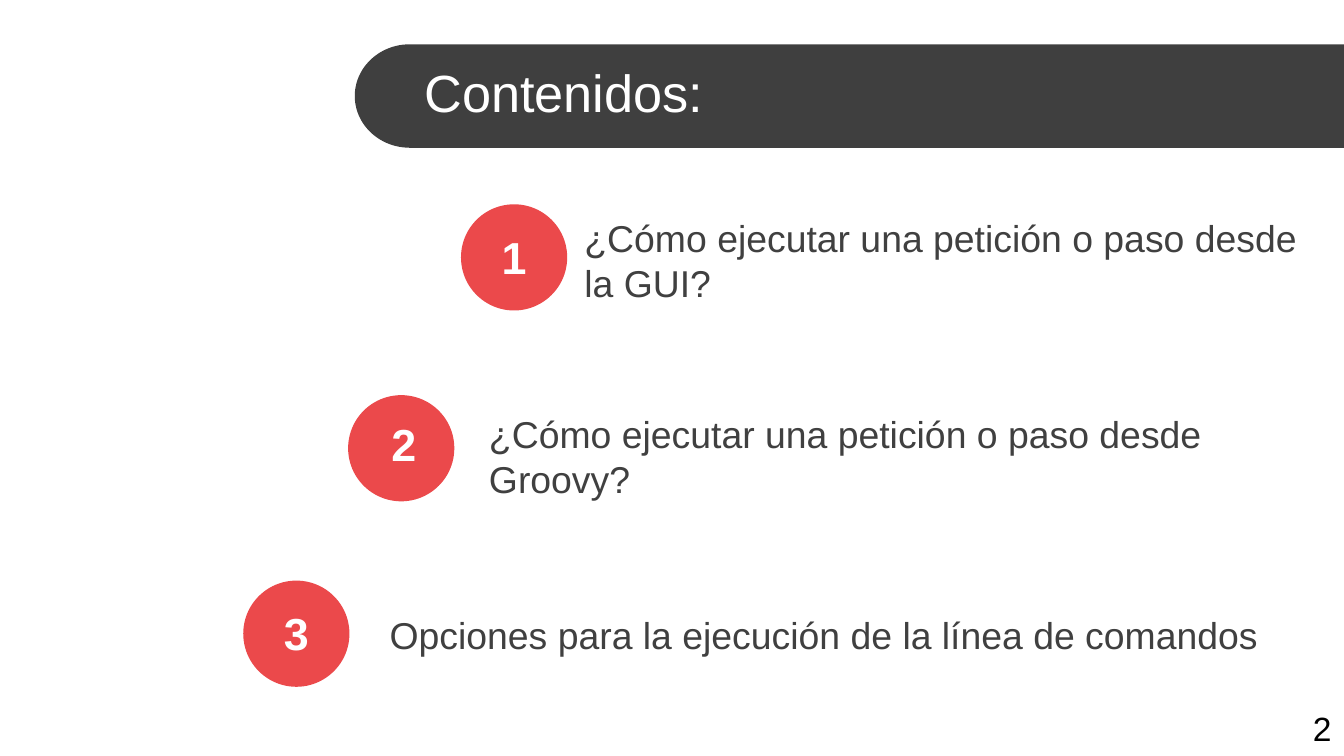
import math

from pptx import Presentation
from pptx.dml.color import RGBColor
from pptx.enum.shapes import MSO_SHAPE
from pptx.enum.text import MSO_ANCHOR, PP_ALIGN
from pptx.util import Inches, Pt

OVAL = MSO_SHAPE.OVAL
TOP, MIDDLE = MSO_ANCHOR.TOP, MSO_ANCHOR.MIDDLE
LEFT, CENTER = PP_ALIGN.LEFT, PP_ALIGN.CENTER

WIDTH = 10
HEIGHT = WIDTH * 9 / 16
CELL = 0.1  # inches per grid column and row
BLANK_LAYOUT = 6
COLORS = {
    "banner": "3F3F3F",
    "badge": "EB494B",
    "body": "404040",
    "light": "FFFFFF",
    "dark": "000000",
}
BADGE_SIZE = 7.9
NUMBER_HEIGHT = 5

# badge column and row, number column and row, text frame, text
TOPICS = [
    ((34.3, 15.2), (34.3, 16.6), (42.5, 15.5, 55.6, 7.7),
     "¿Cómo ejecutar una petición o paso desde la GUI?"),
    ((25.9, 29.4), (26.1, 30.5), (35.4, 30.1, 63, 7.7),
     "¿Cómo ejecutar una petición o paso desde Groovy?"),
    ((18.1, 43.2), (18.1, 44.6), (28, 45, 70.1, 4.4),
     "Opciones para la ejecución de la línea de comandos"),
]


def grid(cells):
    return Inches(cells * CELL)


class SlideBuilder:
    def __init__(self, page, font="Arial"):
        self.page = page
        self.font = font

    def paint(self, shape, color):
        shape.shadow.inherit = False
        shape.fill.solid()
        shape.fill.fore_color.rgb = RGBColor.from_string(COLORS[color])
        shape.line.fill.background()

    def banner(self, left, top, width, height, cap, steps=48):
        """Draw a bar whose left end is a half ellipse, cap columns wide."""
        right, bottom, radius = left + width, top + height, height / 2
        arc = []
        for step in range(steps + 1):
            angle = math.pi * step / steps
            arc.append((grid(left + cap - cap * math.sin(angle)),
                        grid(top + radius + radius * math.cos(angle))))
        outline = self.page.shapes.build_freeform(grid(right), grid(top))
        outline.add_line_segments([(grid(right), grid(bottom)), *arc])
        self.paint(outline.convert_to_shape(), "banner")

    def badge(self, left, top):
        circle = self.page.shapes.add_shape(
            OVAL, grid(left), grid(top), grid(BADGE_SIZE), grid(BADGE_SIZE))
        self.paint(circle, "badge")

    def text(self, words, frame, size=20, color="body", bold=False,
             align=LEFT, anchor=MIDDLE, wrap=True):
        box = self.page.shapes.add_textbox(*map(grid, frame))
        box.text_frame.word_wrap = wrap
        box.text_frame.vertical_anchor = anchor
        para = box.text_frame.paragraphs[0]
        para.alignment = align
        span = para.add_run()
        span.text = words
        span.font.name = self.font
        span.font.size = Pt(size)
        span.font.bold = bold
        span.font.color.rgb = RGBColor.from_string(COLORS[color])


def main():
    deck = Presentation()
    deck.slide_width, deck.slide_height = Inches(WIDTH), Inches(HEIGHT)
    page = deck.slides.add_slide(deck.slide_layouts[BLANK_LAYOUT])
    builder = SlideBuilder(page)

    builder.banner(26.4, 3.3, 73.6, 7.7, cap=4.1)
    builder.text("Contenidos:", (30.6, 3.7, 69.4, 6.3), size=28, color="light")

    for number, (badge, label, frame, topic) in enumerate(TOPICS, start=1):
        builder.badge(*badge)
        builder.text(topic, frame)
        builder.text(str(number), (*label, BADGE_SIZE, NUMBER_HEIGHT),
                     size=24, color="light", bold=True, align=CENTER)

    builder.text("2", (96.7, 52.2, 3.4, 4), size=18, color="dark",
                 anchor=TOP, wrap=False)
    deck.save("out.pptx")


if __name__ == "__main__":
    main()
